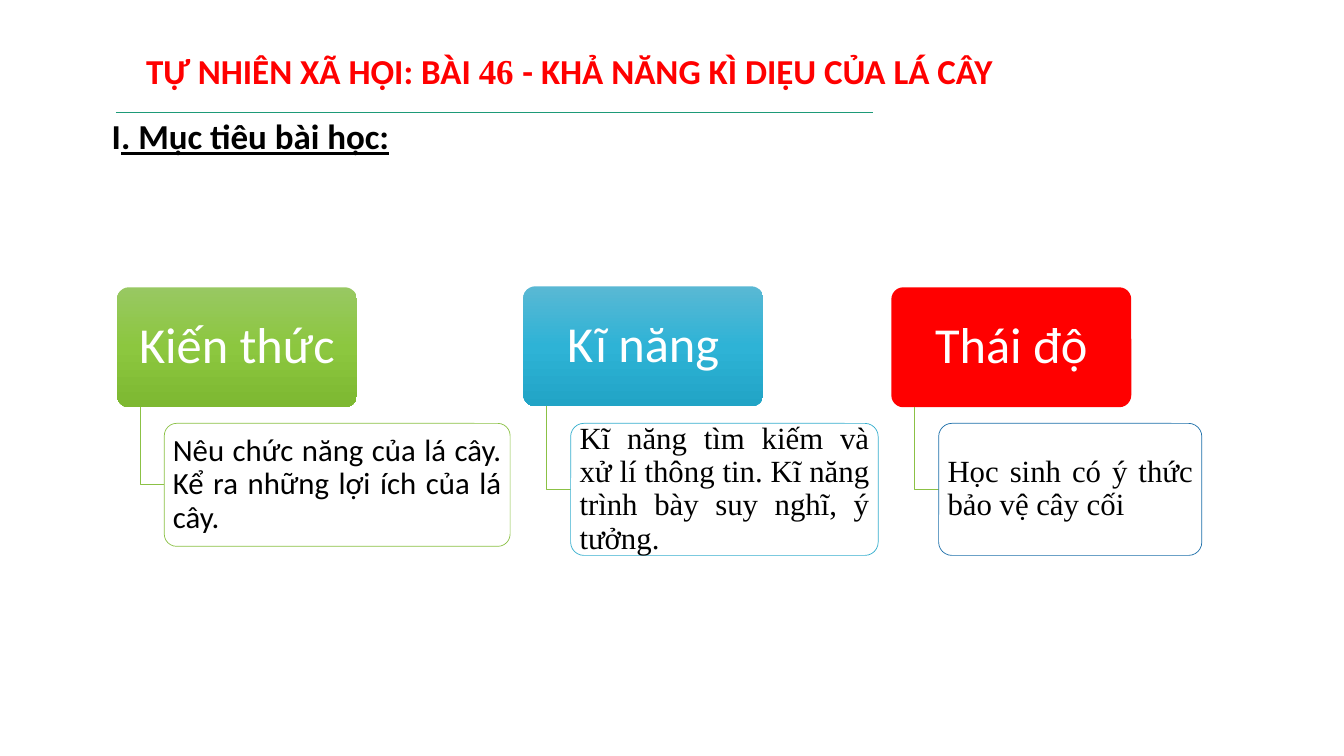
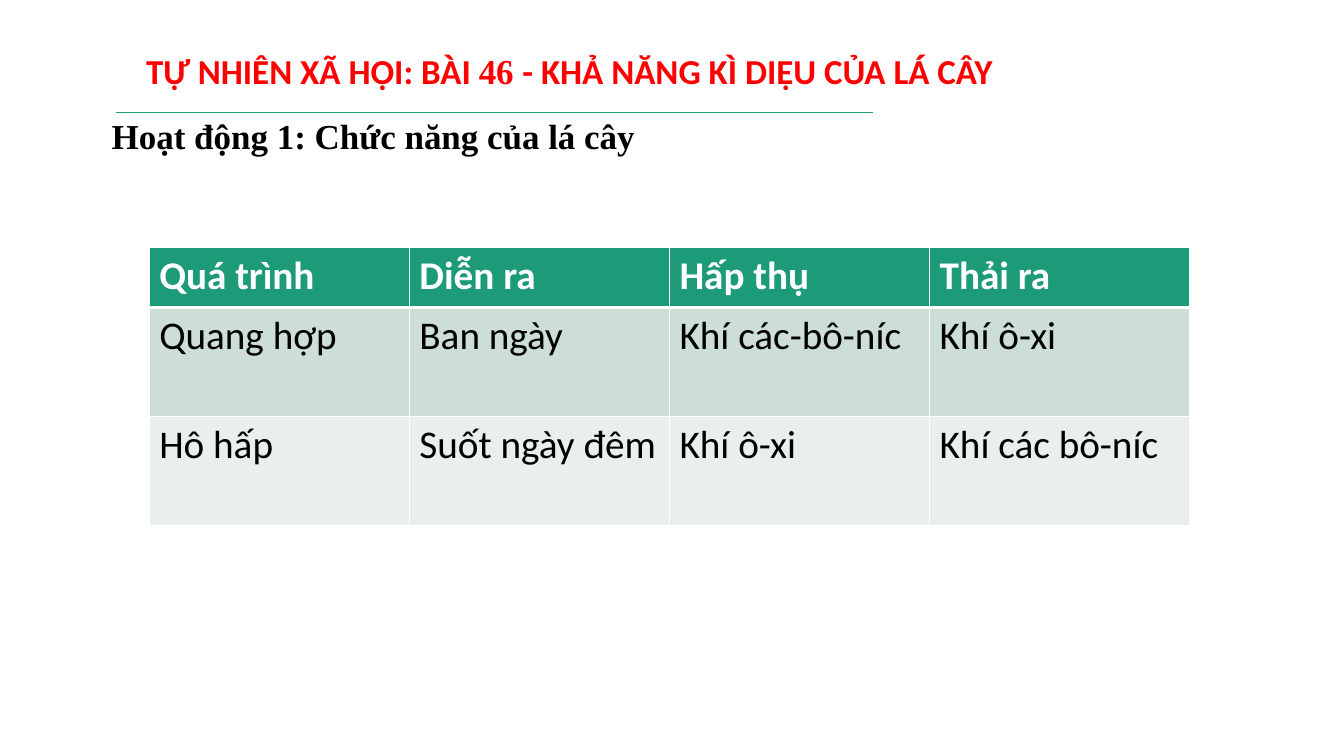
from copy import deepcopy
from dataclasses import dataclass

from lxml import etree
from pptx import Presentation
from pptx import util as u
from pptx.dml.color import RGBColor
from pptx.enum import shapes, text
from pptx.oxml import ns

EMU_PER_PX = 9144  # 100 px to the inch


@dataclass(frozen=True)
class Theme:
    sans: str = "Calibri"
    serif: str = "Times New Roman"
    heading_size: int = 25
    label_size: int = 36
    body_size: int = 22
    table_size: int = 28
    hairline: float = 0.5
    red: str = "FF0000"
    black: str = "000000"
    white: str = "FFFFFF"
    teal: str = "1D9A78"
    green: str = "8BC145"
    cyan: str = "36AFCE"
    blue: str = "1D6FA9"
    green_fade: tuple = ("98C862", "8CC73F", "7DB831")
    cyan_fade: tuple = ("59B8D4", "2EB3D6", "21A4C6")
    row_fills: tuple = ("1D9A78", "CDDED6", "E8EFEC")


THEME = Theme()


@dataclass(frozen=True)
class Run:
    words: str
    font: str = THEME.sans
    underline: bool = False


@dataclass(frozen=True)
class Card:
    label: str
    body: Run
    fill: tuple
    outline: str
    head_top: int
    body_width: int
    body_height: int


LESSON_TITLE = [
    Run("TỰ NHIÊN XÃ HỘI: BÀI "),
    Run("46 ", THEME.serif),
    Run("- KHẢ NĂNG KÌ DIỆU CỦA LÁ CÂY"),
]

GOALS = [
    Card("Kiến thức", Run("Nêu chức năng của lá cây. Kể ra những lợi ích của lá cây."),
         THEME.green_fade, THEME.green, 285, 343, 122),
    Card("Kĩ năng", Run("Kĩ năng tìm kiếm và xử lí thông tin. Kĩ năng trình bày suy nghĩ, "
                        "ý tưởng.", THEME.serif),
         THEME.cyan_fade, THEME.cyan, 284, 305, 131),
    Card("Thái độ", Run("Học sinh có ý thức bảo vệ cây cối", THEME.serif),
         (THEME.red,), THEME.blue, 285, 261, 131),
]

PROCESSES = [
    ["Quá trình", "Diễn ra", "Hấp thụ", "Thải ra"],
    ["Quang hợp", "Ban ngày", "Khí các-bô-níc", "Khí ô-xi"],
    ["Hô hấp", "Suốt ngày đêm", "Khí ô-xi", "Khí các bô-níc"],
]


def px(*lengths):
    return [u.Emu(length * EMU_PER_PX) for length in lengths]


def rgb(colour):
    return RGBColor.from_string(colour)


class Painter:
    def __init__(self, theme):
        self.theme = theme
        self.deck = Presentation()
        self.deck.slide_width, self.deck.slide_height = px(1333, 750)
        self.page = None

    def new_page(self, heading):
        """Start a slide with the lesson title, its rule and a heading."""
        blank = self.deck.slide_layouts[6]
        self.page = self.deck.slides.add_slide(blank)
        self.text_line(135, 44, 1139, 94, LESSON_TITLE, self.theme.red)
        self.text_line(101, 109, 1160, 52, heading, self.theme.black)
        self.rule(115, 866, 111)

    def add_runs(self, para, runs, size, colour, bold=False):
        for run in runs:
            span = para.add_run()
            span.text = run.words
            span.font.name = run.font
            span.font.size = u.Pt(size)
            span.font.bold = bold
            span.font.color.rgb = rgb(colour)
            if run.underline:
                span.font.underline = True

    def text_line(self, left, top, width, height, runs, colour):
        box = self.page.shapes.add_textbox(*px(left, top, width, height))
        box.text_frame.word_wrap = True
        para = box.text_frame.paragraphs[0]
        self.add_runs(para, runs, self.theme.heading_size, colour, True)

    def rule(self, left, right, y):
        line = self.page.shapes.add_connector(
            shapes.MSO_CONNECTOR.STRAIGHT, *px(left, y, right, y))
        self.outline(line, self.theme.teal)
        etree.SubElement(line._element.spPr, ns.qn("a:effectLst"))

    def outline(self, shape, colour):
        shape.line.color.rgb = rgb(colour)
        shape.line.width = u.Pt(self.theme.hairline)

    def paint(self, shape, colours):
        """Fill with one colour, or fade evenly through several from top to bottom."""
        if len(colours) == 1:
            shape.fill.solid()
            shape.fill.fore_color.rgb = rgb(colours[0])
            return
        shape.fill.gradient()
        shape.fill.gradient_angle = 270
        stop_list = shape._element.spPr.find(".//" + ns.qn("a:gsLst"))
        while len(stop_list) < len(colours):
            stop_list.append(deepcopy(stop_list[0]))
        for i, (stop, colour) in enumerate(zip(shape.fill.gradient_stops, colours)):
            stop.position = i / (len(colours) - 1)
            stop.color.rgb = rgb(colour)

    def round_box(self, left, top, width, height, fill, outline=None):
        box = self.page.shapes.add_shape(
            shapes.MSO_SHAPE.ROUNDED_RECTANGLE, *px(left, top, width, height))
        box.adjustments[0] = 0.1
        box.shadow.inherit = False
        self.paint(box, fill)
        if outline:
            self.outline(box, outline)
        else:
            box.line.fill.background()
        return box

    def fill_box(self, box, run, size, colour, align, margin_x, margin_y):
        frame = box.text_frame
        frame.word_wrap = True
        frame.vertical_anchor = text.MSO_ANCHOR.MIDDLE
        frame.margin_left, frame.margin_right = px(margin_x, margin_x)
        frame.margin_top, frame.margin_bottom = px(margin_y, margin_y)
        para = frame.paragraphs[0]
        para.alignment = align
        para.line_spacing = 0.9
        self.add_runs(para, [run], size, colour)

    def elbow(self, left, top, right, bottom):
        builder = self.page.shapes.build_freeform(left, top, scale=EMU_PER_PX)
        builder.add_line_segments([(left, bottom), (right, bottom)], close=False)
        stem = builder.convert_to_shape()
        stem.shadow.inherit = False
        stem.fill.background()
        self.outline(stem, self.theme.green)

    def cards(self, left, body_top, cards):
        head_width, head_height, indent, gap = 238, 119, 47, 13
        theme, align = self.theme, text.PP_ALIGN
        for card in cards:
            body_left = left + indent
            head = self.round_box(left, card.head_top, head_width, head_height, card.fill)
            self.fill_box(head, Run(card.label), theme.label_size, theme.white,
                          align.CENTER, 7, 5)
            self.elbow(left + indent // 2, card.head_top + head_height,
                       body_left, body_top + card.body_height // 2)
            body = self.round_box(body_left, body_top, card.body_width, card.body_height,
                                  (theme.white,), card.outline)
            self.fill_box(body, card.body, theme.body_size, theme.black,
                          align.JUSTIFY, 5, 3)
            left = body_left + card.body_width + gap

    def cell_borders(self, cell, widths):
        """Draw white borders, with widths in points for left, right, top and bottom."""
        properties = cell._tc.get_or_add_tcPr()
        for side, width in zip("LRTB", widths):
            line = etree.SubElement(properties, ns.qn(f"a:ln{side}"), w=str(u.Pt(width)))
            fill = etree.SubElement(line, ns.qn("a:solidFill"))
            etree.SubElement(fill, ns.qn("a:srgbClr"), val=self.theme.white)

    def table(self, left, top, column_width, row_heights, rows):
        columns = len(rows[0])
        frame = self.page.shapes.add_table(
            len(rows), columns, *px(left, top, column_width * columns, sum(row_heights)))
        grid = frame.table
        for column in grid.columns:
            column.width = px(column_width)[0]
        for r, (words, height) in enumerate(zip(rows, row_heights)):
            grid.rows[r].height = px(height)[0]
            header = r == 0
            colour = self.theme.white if header else self.theme.black
            widths = (1, 1, 3 if r == 1 else 1, 3 if header else 1)
            for c, word in enumerate(words):
                cell = grid.cell(r, c)
                self.cell_borders(cell, widths)
                cell.fill.solid()
                cell.fill.fore_color.rgb = rgb(self.theme.row_fills[r])
                self.add_runs(cell.text_frame.paragraphs[0], [Run(word)],
                              self.theme.table_size, colour, header)


def main():
    painter = Painter(THEME)
    painter.new_page([Run("I"), Run(". Mục tiêu bài học:", underline=True)])
    painter.cards(116, 420, GOALS)
    painter.new_page([Run("Hoạt động 1: Chức năng của lá cây", THEME.serif)])
    painter.table(148, 245, 258, [60, 108, 108], PROCESSES)
    painter.deck.save("out.pptx")


if __name__ == "__main__":
    main()
